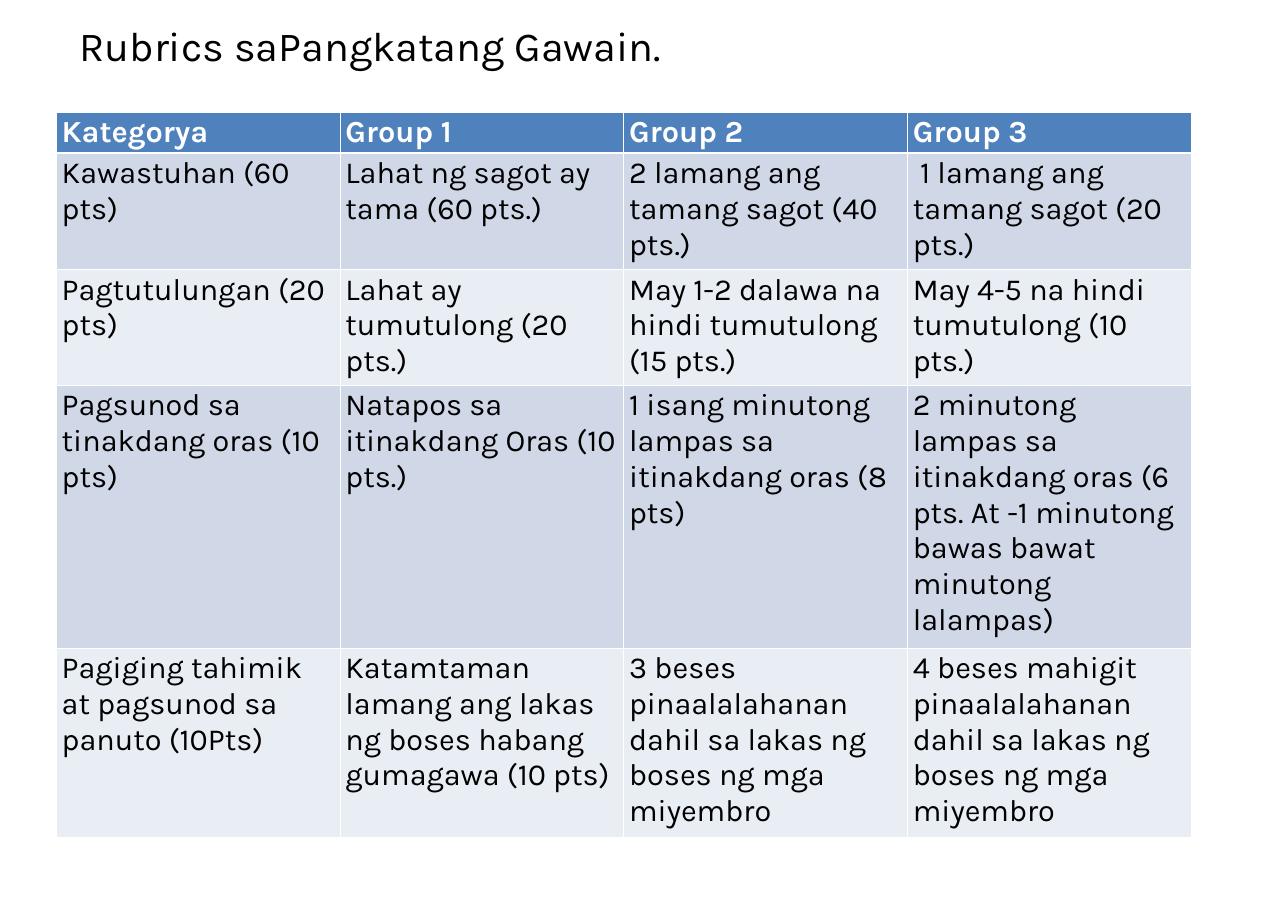
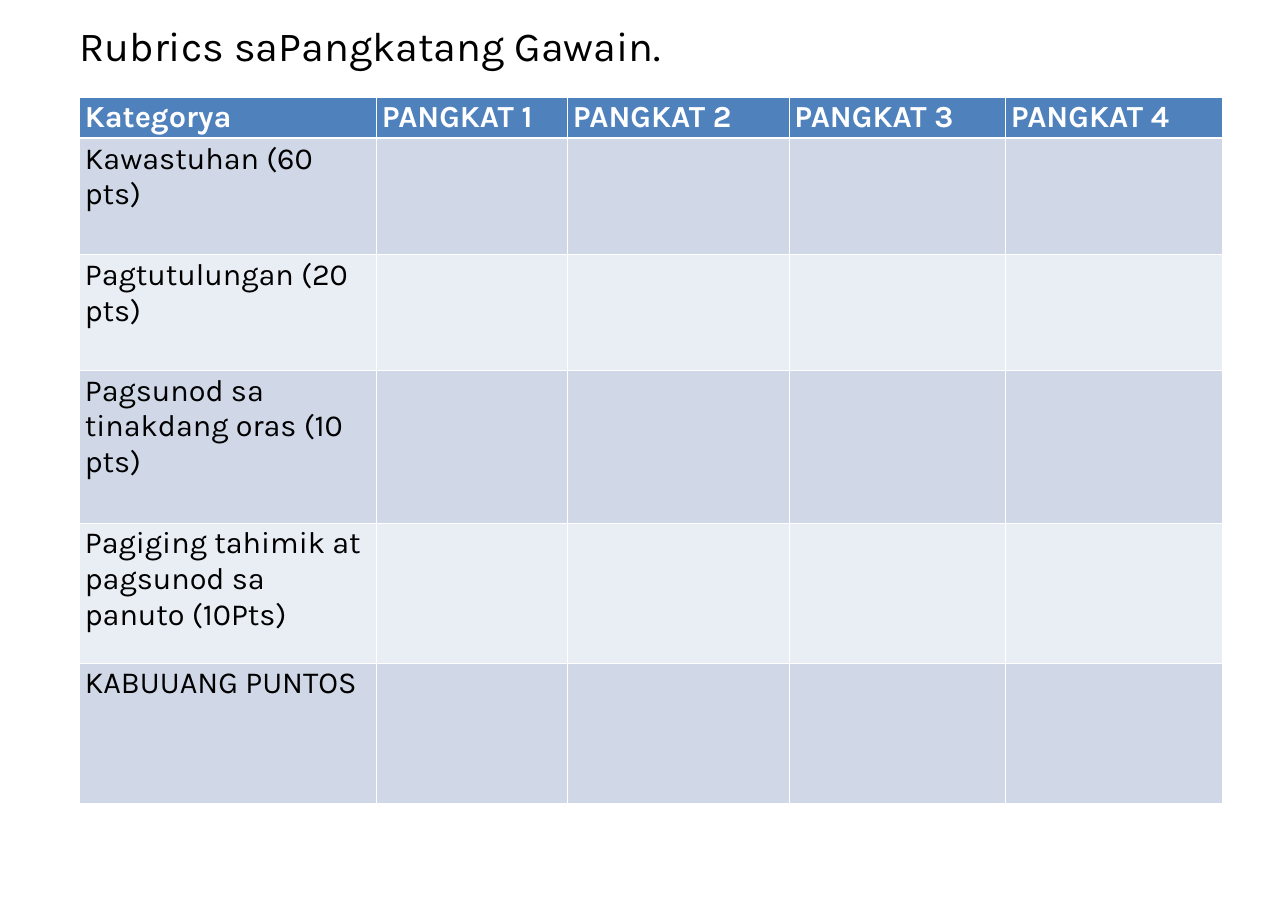
from lxml.etree import SubElement
from pptx import Presentation
from pptx.dml.color import RGBColor
from pptx.enum.text import MSO_ANCHOR, MSO_AUTO_SIZE, PP_ALIGN
from pptx.oxml import parse_xml
from pptx.oxml.ns import nsdecls, qn
from pptx.util import Inches, Pt

FONT = "Karla"
COLORS = {
    "text": "000000",
    "header_text": "FFFFFF",
    "header": "4F81BD",
    "odd_row": "D0D8E8",
    "even_row": "E9EDF4",
    "border": "FFFFFF",
}
TITLE = "Rubrics saPangkatang Gawain."
CATEGORIES = [
    "Kawastuhan (60 pts)",
    "Pagtutulungan (20 pts)",
    "Pagsunod sa tinakdang oras (10 pts)",
    "Pagiging tahimik at pagsunod sa panuto (10Pts)",
]
CRITERIA = [
    ["Lahat ng sagot ay tama (60 pts.)",
     "2 lamang ang tamang sagot (40 pts.)",
     " 1 lamang ang tamang sagot (20 pts.)"],
    ["Lahat ay tumutulong (20 pts.)",
     "May 1-2 dalawa na hindi tumutulong (15 pts.)",
     "May 4-5 na hindi tumutulong (10 pts.)"],
    ["Natapos sa itinakdang Oras (10 pts.)",
     "1 isang minutong lampas sa itinakdang oras (8 pts)",
     "2 minutong lampas sa itinakdang oras (6 pts. "
     "At -1 minutong bawas bawat minutong lalampas)"],
    ["Katamtaman lamang ang lakas ng boses habang gumagawa (10 pts)",
     "3 beses pinaalalahanan dahil sa lakas ng boses ng mga miyembro",
     "4 beses mahigit pinaalalahanan dahil sa lakas ng boses ng mga miyembro"],
]
RUBRICS = [
    {
        "left": 1.02, "top": 2.03,
        "widths": [5.15] * 4,
        "heights": [0.74, 2.11, 2.1, 4.77, 3.43],
        "rows": [["Kategorya"] + [f"Group {n}" for n in range(1, 4)]]
        + [[name] + levels for name, levels in zip(CATEGORIES, CRITERIA)],
    },
    {
        "left": 1.44, "top": 1.76,
        "widths": [5.39, 3.47, 4.02, 3.93, 3.93],
        "heights": [0.75, 2.11, 2.1, 2.77, 2.54, 2.54],
        "rows": [["Kategorya"] + [f"PANGKAT {n}" for n in range(1, 5)]]
        + [[name] + [""] * 4 for name in CATEGORIES + ["KABUUANG PUNTOS"]],
    },
]


def style_text(paragraph, size, color, bold=False):
    paragraph.alignment = PP_ALIGN.LEFT
    for span in paragraph.runs:
        span.font.name = FONT
        span.font.size = Pt(size)
        span.font.bold = bold
        span.font.color.rgb = RGBColor.from_string(COLORS[color])


def set_borders(cell, top, bottom):
    """Draw all four cell borders; widths are in points."""
    properties = cell._tc.get_or_add_tcPr()
    sides = [("lnL", 1), ("lnR", 1), ("lnT", top), ("lnB", bottom)]
    for position, (side, width) in enumerate(sides):
        line = parse_xml(f'<a:{side} {nsdecls("a")} w="{Pt(width)}"/>')
        fill = SubElement(line, qn("a:solidFill"))
        SubElement(fill, qn("a:srgbClr"), val=COLORS["border"])
        properties.insert(position, line)


def add_title(page):
    title = page.shapes.title
    title.left, title.top = Inches(1.44), Inches(0.37)
    title.width, title.height = Inches(21.25), Inches(0.91)
    frame = title.text_frame
    frame.text = TITLE
    frame.word_wrap = True
    frame.auto_size = MSO_AUTO_SIZE.NONE
    frame.vertical_anchor = MSO_ANCHOR.TOP
    frame.margin_left = frame.margin_right = 0
    frame.margin_top = frame.margin_bottom = 0
    style_text(frame.paragraphs[0], 54, "text")


def add_rubric(page, rubric):
    rows, widths, heights = rubric["rows"], rubric["widths"], rubric["heights"]
    table = page.shapes.add_table(
        len(rows), len(widths), Inches(rubric["left"]), Inches(rubric["top"]),
        Inches(sum(widths)), Inches(sum(heights))).table
    for column, width in zip(table.columns, widths):
        column.width = Inches(width)
    for row, height in zip(table.rows, heights):
        row.height = Inches(height)

    for r, texts in enumerate(rows):
        is_header = r == 0
        band = "header" if is_header else "odd_row" if r % 2 else "even_row"
        for c, text in enumerate(texts):
            cell = table.cell(r, c)
            cell.fill.solid()
            cell.fill.fore_color.rgb = RGBColor.from_string(COLORS[band])
            set_borders(cell, top=3 if r == 1 else 1, bottom=3 if is_header else 1)
            if text:
                cell.text_frame.text = text
                style_text(cell.text_frame.paragraphs[0], 40,
                           "header_text" if is_header else "text", is_header)


def main():
    deck = Presentation()
    deck.slide_width, deck.slide_height = Inches(23.38), Inches(16.53)
    title_only = deck.slide_layouts[5]
    for rubric in RUBRICS:
        page = deck.slides.add_slide(title_only)
        add_title(page)
        add_rubric(page, rubric)
    deck.save("out.pptx")


if __name__ == "__main__":
    main()
